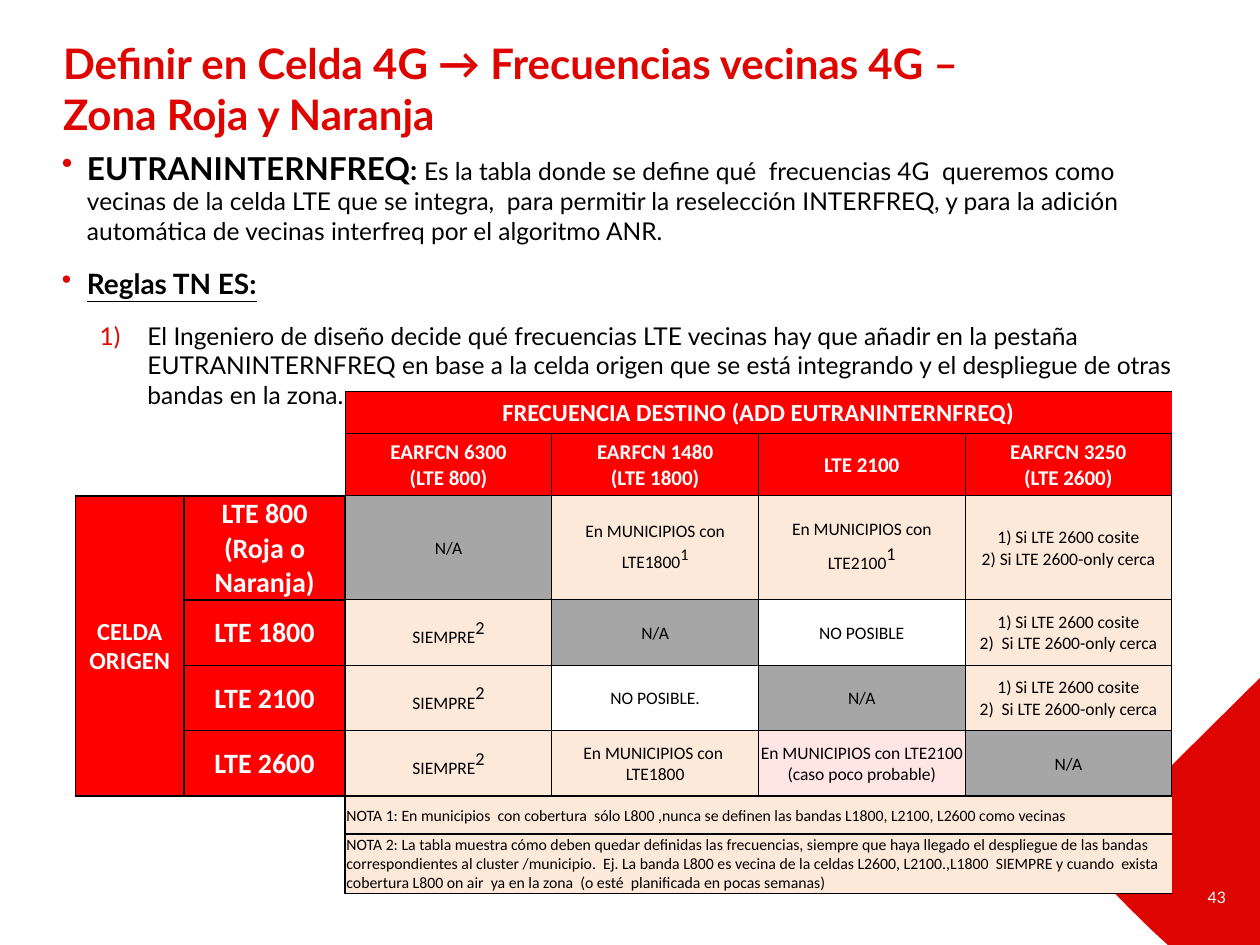
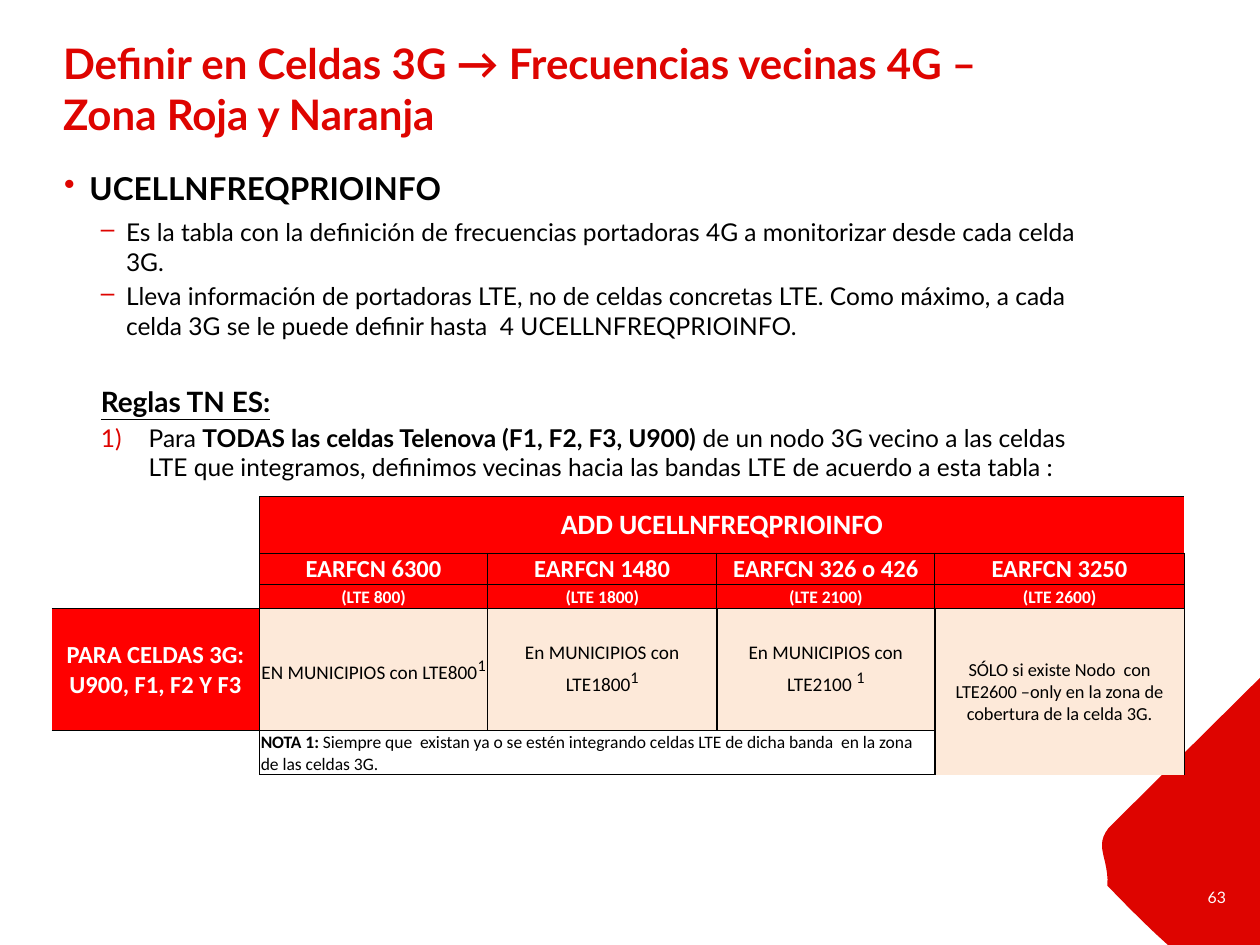
from copy import deepcopy
from dataclasses import dataclass, field
from itertools import product
from typing import Optional

from lxml.etree import SubElement
from pptx import Presentation
from pptx.dml.color import RGBColor
from pptx.enum.text import MSO_ANCHOR, MSO_AUTO_SIZE, PP_ALIGN
from pptx.oxml import parse_xml
from pptx.oxml.ns import nsdecls, qn
from pptx.util import Emu, Inches, Pt

RED = RGBColor(0xDE, 0x04, 0x00)
HEADER_RED = RGBColor(0xFF, 0x00, 0x00)
PEACH = RGBColor(0xFD, 0xE9, 0xD9)
PINK = RGBColor(0xFF, 0xE6, 0xE5)
GREY = RGBColor(0xA6, 0xA6, 0xA6)
WHITE = RGBColor(0xFF, 0xFF, 0xFF)
BLACK = RGBColor(0x00, 0x00, 0x00)

BODY_FONT = "Lato"
TABLE_FONT = "Calibri"
WIDTH, HEIGHT = Inches(10), Inches(7.5)
NO_STYLE = "{2D5ABB26-0587-4C30-8999-92F81FD0307C}"


@dataclass(frozen=True)
class Run:
    text: str
    size: float = 14
    bold: bool = False
    underline: bool = False


@dataclass(frozen=True)
class Para:
    runs: list[Run]
    left: float
    hang: float
    bullet: str = ""
    before: float = 0
    after: float = 3


@dataclass(frozen=True)
class Look:
    fill: Optional[RGBColor]
    color: RGBColor = BLACK
    bold: bool = False
    align: PP_ALIGN = PP_ALIGN.CENTER
    anchor: MSO_ANCHOR = MSO_ANCHOR.MIDDLE


@dataclass(frozen=True)
class Cell:
    row: int
    col: int
    text: str
    look: Look
    size: float = 10
    rows: int = 1
    cols: int = 1
    edges: str = "LRTB"
    line: float = 0.5
    note: str = ""
    note_size: float = 18
    lead: str = ""


@dataclass(frozen=True)
class Grid:
    left: float
    top: float
    cols: list[float]
    rows: list[float]
    cells: list[Cell] = field(default_factory=list)


HEAD = Look(HEADER_RED, WHITE, True)
NA = Look(GREY)
YES = Look(PEACH)
RARE = Look(PINK)
NO = Look(WHITE)
BLANK = Look(None)
NOTE = Look(PEACH, align=PP_ALIGN.LEFT)
PLAIN_NOTE = Look(None, align=PP_ALIGN.LEFT, anchor=MSO_ANCHOR.BOTTOM)


def across(percent: float) -> Emu:
    return Emu(round(WIDTH * percent / 100))


def down(percent: float) -> Emu:
    return Emu(round(HEIGHT * percent / 100))


def add_text(p, text: str, *, font: str = BODY_FONT, size: float = 14,
             color: RGBColor = BLACK, bold: bool = False,
             underline: bool = False, raised: bool = False) -> None:
    for i, part in enumerate(text.split("\n")):
        if i:
            p.add_line_break()
            p._p.findall(qn("a:br"))[-1].append(deepcopy(r._r.rPr))
        r = p.add_run()
        r.text = part
        r.font.name, r.font.size = font, Pt(size)
        r.font.bold, r.font.underline = bold, underline
        r.font.color.rgb = color
        if raised:
            r._r.get_or_add_rPr().set("baseline", "30000")


def set_frame(tf, anchor: MSO_ANCHOR, right: float = 0) -> None:
    tf.word_wrap = True
    tf.auto_size = MSO_AUTO_SIZE.NONE
    tf.vertical_anchor = anchor
    tf.margin_left = tf.margin_top = tf.margin_bottom = 0
    tf.margin_right = Inches(right)


def set_bullet(p, left: float, hang: float, bullet: str) -> None:
    pPr = p._p.get_or_add_pPr()
    pPr.set("marL", str(Inches(left)))
    pPr.set("indent", str(Inches(-hang)))
    if not bullet:
        return
    SubElement(SubElement(pPr, qn("a:buClr")), qn("a:srgbClr"), val=str(RED))
    if bullet == "1)":
        SubElement(pPr, qn("a:buAutoNum"), type="arabicParenR")
    else:
        SubElement(pPr, qn("a:buChar"), char=bullet)


def curve(a, b, c, d, steps: int = 12) -> list[tuple[float, float]]:
    return [tuple((1 - t) ** 3 * a[k] + 3 * (1 - t) ** 2 * t * b[k]
                  + 3 * (1 - t) * t ** 2 * c[k] + t ** 3 * d[k] for k in (0, 1))
            for t in (i / steps for i in range(1, steps + 1))]


def draw_corner(s) -> None:
    points = [(100, 100), (92.7, 100)]
    points += curve(points[-1], (91.8, 98.93), (90.3, 97.07), (87.9, 93.73))
    points += curve(points[-1], (88, 90.67), (86.8, 89.6), (88, 87.6))
    outline = s.shapes.build_freeform(across(100), down(71.73))
    outline.add_line_segments([(across(x), down(y)) for x, y in points])
    sp = outline.convert_to_shape()
    sp.shadow.inherit = False
    sp.fill.solid()
    sp.fill.fore_color.rgb = RED
    sp.line.fill.background()


def start_slide(prs, title: str, number: str):
    s = prs.slides.add_slide(prs.slide_layouts[5])
    draw_corner(s)
    sp = s.shapes.title
    sp.left, sp.top, sp.width, sp.height = across(5), down(4), across(92.7), down(15.2)
    set_frame(sp.text_frame, MSO_ANCHOR.TOP)
    p = sp.text_frame.paragraphs[0]
    p.alignment = PP_ALIGN.LEFT
    add_text(p, title, size=24, color=RED, bold=True)

    sp = s.shapes.add_textbox(across(86.7), down(92.27), across(10.6), down(5.33))
    set_frame(sp.text_frame, MSO_ANCHOR.MIDDLE)
    p = sp.text_frame.paragraphs[0]
    p.alignment = PP_ALIGN.RIGHT
    add_text(p, number, size=9, color=WHITE)
    return s


def add_body(s, left: float, top: float, width: float, height: float,
             paras: list[Para]) -> None:
    sp = s.shapes.add_textbox(across(left), down(top), across(width), down(height))
    tf = sp.text_frame
    set_frame(tf, MSO_ANCHOR.TOP, right=0.08)
    for i, para in enumerate(paras):
        p = tf.add_paragraph() if i else tf.paragraphs[0]
        p.space_before, p.space_after = Pt(para.before), Pt(para.after)
        set_bullet(p, para.left, para.hang, para.bullet)
        for run in para.runs:
            add_text(p, run.text, size=run.size, bold=run.bold, underline=run.underline)


def set_borders(tc, edges: str, width: float) -> None:
    tcPr = tc.get_or_add_tcPr()
    for i, edge in enumerate(edges):
        tcPr.insert(i, parse_xml(
            f'<a:ln{edge} {nsdecls("a")} w="{Pt(width)}"><a:solidFill>'
            f'<a:srgbClr val="{BLACK}"/></a:solidFill></a:ln{edge}>'))


def fill_cell(tbl, spec: Cell) -> None:
    first = tbl.cell(spec.row, spec.col)
    last_row, last_col = spec.row + spec.rows - 1, spec.col + spec.cols - 1
    if spec.rows * spec.cols > 1:
        first.merge(tbl.cell(last_row, last_col))
    look = spec.look
    for row, col in product(range(spec.row, last_row + 1), range(spec.col, last_col + 1)):
        cell = tbl.cell(row, col)
        if look.fill is not None:
            cell.fill.solid()
            cell.fill.fore_color.rgb = look.fill
        outer = {"L": col == spec.col, "R": col == last_col,
                 "T": row == spec.row, "B": row == last_row}
        set_borders(cell._tc, "".join(e for e in spec.edges if outer[e]), spec.line)
    if not spec.text:
        return
    first.vertical_anchor = look.anchor
    p = first.text_frame.paragraphs[0]
    p.alignment = look.align
    if spec.lead:
        add_text(p, spec.lead, font=TABLE_FONT, size=spec.size, bold=True)
    add_text(p, spec.text, font=TABLE_FONT, size=spec.size, color=look.color, bold=look.bold)
    if spec.note:
        add_text(p, spec.note, font=TABLE_FONT, size=spec.note_size, raised=True)


def add_grid(s, grid: Grid) -> None:
    tbl = s.shapes.add_table(len(grid.rows), len(grid.cols), across(grid.left),
                             down(grid.top), across(sum(grid.cols)),
                             down(sum(grid.rows))).table
    tbl.first_row = tbl.horz_banding = False
    tbl._tbl.tblPr.find(qn("a:tableStyleId")).text = NO_STYLE
    for column, share in zip(tbl.columns, grid.cols):
        column.width = across(share)
    for row, share in zip(tbl.rows, grid.rows):
        row.height = down(share)
    for cell in tbl.iter_cells():
        cell.margin_left = cell.margin_right = cell.margin_top = Inches(0.01)
        cell.margin_bottom = 0
        SubElement(cell.text_frame.paragraphs[0]._p, qn("a:endParaRPr"), sz="800")
    for spec in grid.cells:
        fill_cell(tbl, spec)


def build_4g_slide(prs) -> None:
    s = start_slide(prs, "Definir en Celda 4G → Frecuencias vecinas 4G – \nZona Roja y Naranja", "43")
    add_body(s, 4.9, 15.73, 89.2, 78.27, [
        Para([Run("EUTRANINTERNFREQ", 18, True), Run(": ", 16, True),
              Run("Es la tabla donde se define qué  frecuencias 4G  queremos como vecinas de la celda LTE que se integra,  para permitir la reselección INTERFREQ, y para la adición automática de vecinas interfreq por el algoritmo ANR.")],
             0.2, 0.2, "•", 6, 6),
        Para([Run("Reglas TN ES:", 16, True, True)], 0.2, 0.2, "•", 6, 6),
        Para([Run("El Ingeniero de diseño decide qué frecuencias LTE vecinas hay que añadir en la pestaña EUTRANINTERNFREQ en base a la celda origen que se está integrando y el despliegue de otras bandas en la zona.")],
             0.68, 0.38, "1)", 6, 6),
    ])
    targets = ["EARFCN 6300\n(LTE 800)", "EARFCN 1480\n(LTE 1800)", "LTE 2100",
               "EARFCN 3250\n(LTE 2600)"]
    origins = ["LTE 800\n(Roja o Naranja)", "LTE 1800", "LTE 2100", "LTE 2600"]
    na, always = ("N/A", NA), ("SIEMPRE", YES, "2")
    near = ("1) Si LTE 2600 cosite\n2)  Si LTE 2600-only cerca", YES)
    rules = [
        [na, ("En MUNICIPIOS con LTE1800", YES, "1"), ("En MUNICIPIOS con LTE2100", YES, "1"),
         ("1) Si LTE 2600 cosite\n2) Si LTE 2600-only cerca", YES)],
        [always, na, ("NO POSIBLE", NO), near],
        [always, ("NO POSIBLE.", NO), na, near],
        [always, ("En MUNICIPIOS con  LTE1800", YES),
         ("En MUNICIPIOS con LTE2100\n(caso poco probable)", RARE), na],
    ]
    notes = [
        "NOTA 1: En municipios  con cobertura  sólo L800 ,nunca se definen las bandas L1800, L2100, L2600 como vecinas",
        "NOTA 2: La tabla muestra cómo deben quedar definidas las frecuencias, siempre que haya llegado el despliegue de las bandas correspondientes al cluster /municipio.  Ej. La banda L800 es vecina de la celdas L2600, L2100.,L1800  SIEMPRE y cuando  exista  cobertura L800 on air  ya en la zona  (o esté  planificada en pocas semanas)",
    ]
    cells = [Cell(0, 2, "FRECUENCIA DESTINO (ADD EUTRANINTERNFREQ)", HEAD, 14, cols=4),
             Cell(2, 0, "CELDA ORIGEN", HEAD, 14, rows=4, line=1)]
    cells += [Cell(1, c, text, HEAD, 12) for c, text in enumerate(targets, 2)]
    cells += [Cell(r, 1, text, HEAD, 16, line=1) for r, text in enumerate(origins, 2)]
    for r, rule in enumerate(rules, 2):
        for c, (text, look, *note) in enumerate(rule, 2):
            cells.append(Cell(r, c, text, look, note="".join(note),
                              note_size=16 if (r, c) == (2, 3) else 18))
    cells += [Cell(6, c, "", BLANK, rows=2, edges="") for c in (0, 1)]
    cells += [Cell(r, 2, text, NOTE, 9, cols=4, line=1) for r, text in enumerate(notes, 6)]
    add_grid(s, Grid(6, 41.47, [8.6, 12.8] + [16.4] * 4,
                     [4.4, 6.6, 10.93] + [6.93] * 3 + [4, 6.27], cells))


def build_3g_slide(prs) -> None:
    s = start_slide(prs, "Definir en Celdas 3G → Frecuencias vecinas 4G – \nZona Roja y Naranja", "63")
    add_body(s, 5.1, 17.87, 83.5, 80, [
        Para([Run("UCELLNFREQPRIOINFO", 18, True)], 0.2, 0.2, "•", 6, 6),
        Para([Run("Es la tabla con la definición de frecuencias portadoras 4G a monitorizar desde cada celda 3G.")],
             0.49, 0.2, "–"),
        Para([Run("Lleva información de portadoras LTE, no de celdas concretas LTE. Como máximo, a cada celda 3G se le puede definir hasta  4 UCELLNFREQPRIOINFO.")],
             0.49, 0.2, "–"),
        Para([Run("Reglas TN ES:", 16, True, True)], 0.29, 0, before=22.2),
        Para([Run("Para "), Run("TODAS las celdas Telenova (F1, F2, F3, U900) ", bold=True),
              Run("de un nodo 3G vecino a las celdas LTE que integramos, definimos vecinas hacia las bandas LTE de acuerdo a esta tabla :")],
             0.67, 0.38, "1)"),
    ])
    bands = [("EARFCN 6300", "(LTE 800)"), ("EARFCN 1480", "(LTE 1800)"),
             ("EARFCN 326 o 426", "(LTE 2100)"), ("EARFCN 3250", "(LTE 2600)")]
    towns = ["EN MUNICIPIOS con LTE800", "En MUNICIPIOS con LTE1800",
             "En MUNICIPIOS con LTE2100 "]
    cells = [Cell(0, 1, "ADD UCELLNFREQPRIOINFO", HEAD, 16, cols=4),
             Cell(1, 0, "", BLANK, rows=2, edges=""),
             Cell(3, 0, "PARA CELDAS 3G:\nU900, F1, F2 Y F3", HEAD, 14, edges="RT")]
    for c, (channel, band) in enumerate(bands, 1):
        cells += [Cell(1, c, channel, HEAD, 14, edges="LRT"),
                  Cell(2, c, band, HEAD, 10, edges="LRB")]
    cells += [Cell(3, c, text, YES, 11, note="1", note_size=16, line=1 if c == 3 else 0.5)
              for c, text in enumerate(towns, 1)]
    cells += [Cell(3, 4, "SÓLO si existe Nodo  con LTE2600 –only en la zona de cobertura de la celda 3G.",
                   YES, 10.5, rows=2, line=1),
              Cell(4, 1, "Siempre que  existan ya o se estén integrando celdas LTE de dicha banda  en la zona de las celdas 3G.",
                   PLAIN_NOTE, cols=3, lead="NOTA 1: ")]
    add_grid(s, Grid(4.1, 52.53, [16.5, 18.1, 18.2, 17.3, 19.8],
                     [6, 3.33, 2.53, 12.93, 4.67], cells))


def main() -> None:
    prs = Presentation()
    prs.slide_width, prs.slide_height = WIDTH, HEIGHT
    build_4g_slide(prs)
    build_3g_slide(prs)
    prs.save("out.pptx")


if __name__ == "__main__":
    main()
